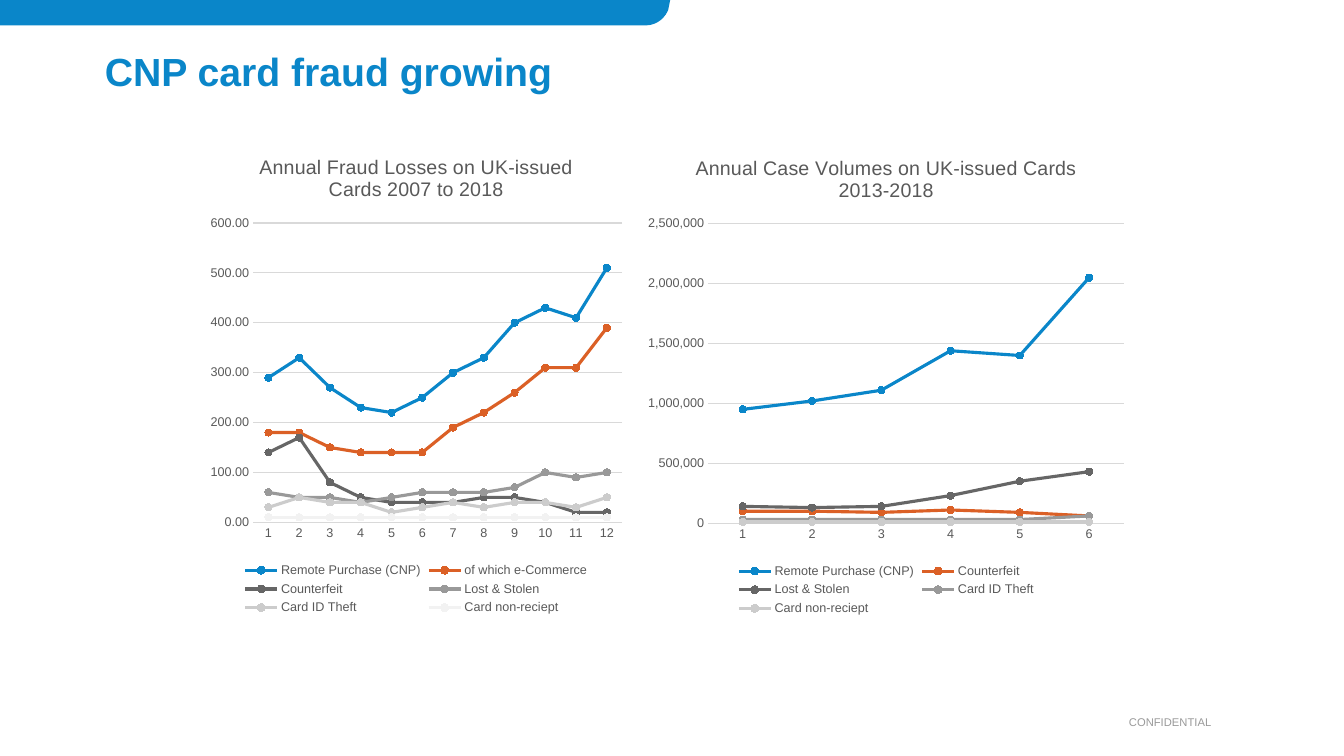
"""Build the slide on the growth of CNP card fraud."""
from dataclasses import dataclass

from lxml import etree
from pptx import Presentation
from pptx.chart.data import CategoryChartData
from pptx.dml.color import RGBColor
from pptx.enum.chart import XL_CHART_TYPE, XL_LEGEND_POSITION, XL_MARKER_STYLE, XL_TICK_MARK
from pptx.enum.text import MSO_ANCHOR, PP_ALIGN
from pptx.oxml.ns import qn
from pptx.util import Cm, Pt

LINE_MARKERS = XL_CHART_TYPE.LINE_MARKERS
LEGEND_BOTTOM = XL_LEGEND_POSITION.BOTTOM
CIRCLE = XL_MARKER_STYLE.CIRCLE
NO_TICK = XL_TICK_MARK.NONE
LEFT, CENTER, RIGHT = PP_ALIGN.LEFT, PP_ALIGN.CENTER, PP_ALIGN.RIGHT
BOTTOM, MIDDLE = MSO_ANCHOR.BOTTOM, MSO_ANCHOR.MIDDLE


@dataclass(frozen=True)
class Theme:
    font: str = "Arial"
    blue: str = "0A86C9"
    text: str = "595959"
    grid: str = "D9D9D9"
    muted: str = "999999"
    series: tuple = ("0A86C9", "DB6026", "666666", "999999", "CCCCCC", "F2F2F2")
    title_size: int = 28
    chart_title_size: int = 14
    label_size: int = 9
    footer_size: int = 8


THEME = Theme()
TITLE = "CNP card fraud growing"
FOOTER = "CONFIDENTIAL"
CHARTS = [
    {
        "title": "Annual Fraud Losses on UK-issued Cards 2007 to 2018",
        "box": (5.08, 3.43, 10.82, 12.17),
        "plot": {"x": 0.12, "y": 0.18, "w": 0.86, "h": 0.62},
        "format": "0.00",
        "step": 100,
        "top": 600,
        "series": {
            "Remote Purchase (CNP)": (290, 330, 270, 230, 220, 250, 300, 330, 400, 430, 410, 510),
            "of which e-Commerce": (180, 180, 150, 140, 140, 140, 190, 220, 260, 310, 310, 390),
            "Counterfeit": (140, 170, 80, 50, 40, 40, 40, 50, 50, 40, 20, 20),
            "Lost & Stolen": (60, 50, 50, 40, 50, 60, 60, 60, 70, 100, 90, 100),
            "Card ID Theft": (30, 50, 40, 40, 20, 30, 40, 30, 40, 40, 30, 50),
            "Card non-reciept": (10,) * 12,
        },
    },
    {
        "title": "Annual Case Volumes on UK-issued Cards 2013-2018",
        "box": (16.1, 3.45, 12.47, 12.17),
        "plot": {"x": 0.14, "y": 0.18, "w": 0.84, "h": 0.62},
        "format": "#,##0",
        "step": 500000,
        "top": 2500000,
        "series": {
            "Remote Purchase (CNP)": (950000, 1020000, 1110000, 1440000, 1400000, 2050000),
            "Counterfeit": (100000, 100000, 90000, 110000, 90000, 60000),
            "Lost & Stolen": (140000, 130000, 140000, 230000, 350000, 430000),
            "Card ID Theft": (30000, 30000, 30000, 30000, 30000, 60000),
            "Card non-reciept": (10000,) * 6,
        },
    },
]
BANNER_START = (16.89, 0)
BANNER_CORNER = ((16.84, 0.25), (16.76, 0.46), (16.54, 0.64), (16.28, 0.64))
CORNER_STEPS = 10


def rgb(color):
    return RGBColor.from_string(color)


def style_font(font, size, color, bold=False):
    font.name, font.size, font.bold = THEME.font, Pt(size), bold
    font.color.rgb = rgb(color)


def write(frame, text, *, size, color, bold=False, align=LEFT, anchor=None, spacing=None):
    paragraph = frame.paragraphs[0]
    run = paragraph.add_run()
    run.text = text
    style_font(run.font, size, color, bold)
    paragraph.alignment = align
    if spacing:
        paragraph.line_spacing = spacing
    if anchor is not None:
        frame.word_wrap = True
        frame.vertical_anchor = anchor
        frame.margin_left = frame.margin_right = frame.margin_top = frame.margin_bottom = 0


def corner_point(t):
    weights = ((1 - t) ** 3, 3 * t * (1 - t) ** 2, 3 * t * t * (1 - t), t ** 3)
    return tuple(sum(w * p[i] for w, p in zip(weights, BANNER_CORNER)) for i in (0, 1))


def add_banner(slide):
    corner = [corner_point(step / CORNER_STEPS) for step in range(CORNER_STEPS + 1)]
    outline = [BANNER_START, *corner, (0, BANNER_CORNER[-1][1])]
    builder = slide.shapes.build_freeform(0, 0)
    builder.add_line_segments([(Cm(x), Cm(y)) for x, y in outline])
    banner = builder.convert_to_shape()
    banner.shadow.inherit = False
    banner.fill.solid()
    banner.fill.fore_color.rgb = rgb(THEME.blue)
    banner.line.fill.background()


def place_plot(chart, fractions):
    plot_area = chart.element.find(".//" + qn("c:plotArea"))
    for old in plot_area.findall(qn("c:layout")):
        plot_area.remove(old)
    layout = etree.Element(qn("c:layout"))
    manual = etree.SubElement(layout, qn("c:manualLayout"))
    settings = {"layoutTarget": "inner", "xMode": "edge", "yMode": "edge", **fractions}
    for tag, value in settings.items():
        etree.SubElement(manual, qn("c:" + tag)).set("val", str(value))
    plot_area.insert(0, layout)


def style_axes(chart, content):
    for axis in (chart.category_axis, chart.value_axis):
        axis.major_tick_mark = axis.minor_tick_mark = NO_TICK
        style_font(axis.tick_labels.font, THEME.label_size, THEME.text)
    values = chart.value_axis
    values.minimum_scale, values.maximum_scale = 0, content["top"]
    values.major_unit = content["step"]
    values.tick_labels.number_format = content["format"]
    values.tick_labels.number_format_is_linked = False
    values.format.line.fill.background()
    values.has_major_gridlines = True
    for line in (chart.category_axis.format.line, values.major_gridlines.format.line):
        line.color.rgb = rgb(THEME.grid)
        line.width = Pt(0.75)


def style_series(series, color):
    series.smooth = False
    series.format.line.color.rgb = rgb(color)
    series.format.line.width = Pt(2.25)
    series.marker.style = CIRCLE
    series.marker.size = 5
    series.marker.format.fill.solid()
    series.marker.format.fill.fore_color.rgb = rgb(color)
    series.marker.format.line.color.rgb = rgb(color)


def add_fraud_chart(slide, content):
    data = CategoryChartData(number_format=content["format"])
    periods = len(next(iter(content["series"].values())))
    data.categories = [str(period) for period in range(1, periods + 1)]
    for name, values in content["series"].items():
        data.add_series(name, values)
    box = [Cm(length) for length in content["box"]]
    chart = slide.shapes.add_chart(LINE_MARKERS, *box, data).chart
    style_font(chart.font, THEME.label_size, THEME.text)
    chart.has_title = True
    write(chart.chart_title.text_frame, content["title"], size=THEME.chart_title_size,
          color=THEME.text, align=CENTER)
    chart.chart_title.include_in_layout = False
    chart.has_legend = True
    chart.legend.position = LEGEND_BOTTOM
    chart.legend.include_in_layout = False
    style_font(chart.legend.font, THEME.label_size, THEME.text)
    chart.plots[0].vary_by_categories = False
    for series, color in zip(chart.plots[0].series, THEME.series):
        style_series(series, color)
    style_axes(chart, content)
    place_plot(chart, content["plot"])


def main():
    deck = Presentation()
    deck.slide_width, deck.slide_height = Cm(33.87), Cm(19.05)
    slide = deck.slides.add_slide(deck.slide_layouts[5])
    add_banner(slide)
    title = slide.shapes.title
    title.left, title.top, title.width, title.height = Cm(2.64), Cm(0.97), Cm(25.93), Cm(1.42)
    write(title.text_frame, TITLE, size=THEME.title_size, color=THEME.blue, bold=True,
          anchor=BOTTOM, spacing=0.9)
    for content in CHARTS:
        add_fraud_chart(slide, content)
    footer = slide.shapes.add_textbox(Cm(12.14), Cm(17.93), Cm(18.39), Cm(0.51))
    write(footer.text_frame, FOOTER, size=THEME.footer_size, color=THEME.muted,
          align=RIGHT, anchor=MIDDLE)
    deck.save("out.pptx")


if __name__ == "__main__":
    main()
